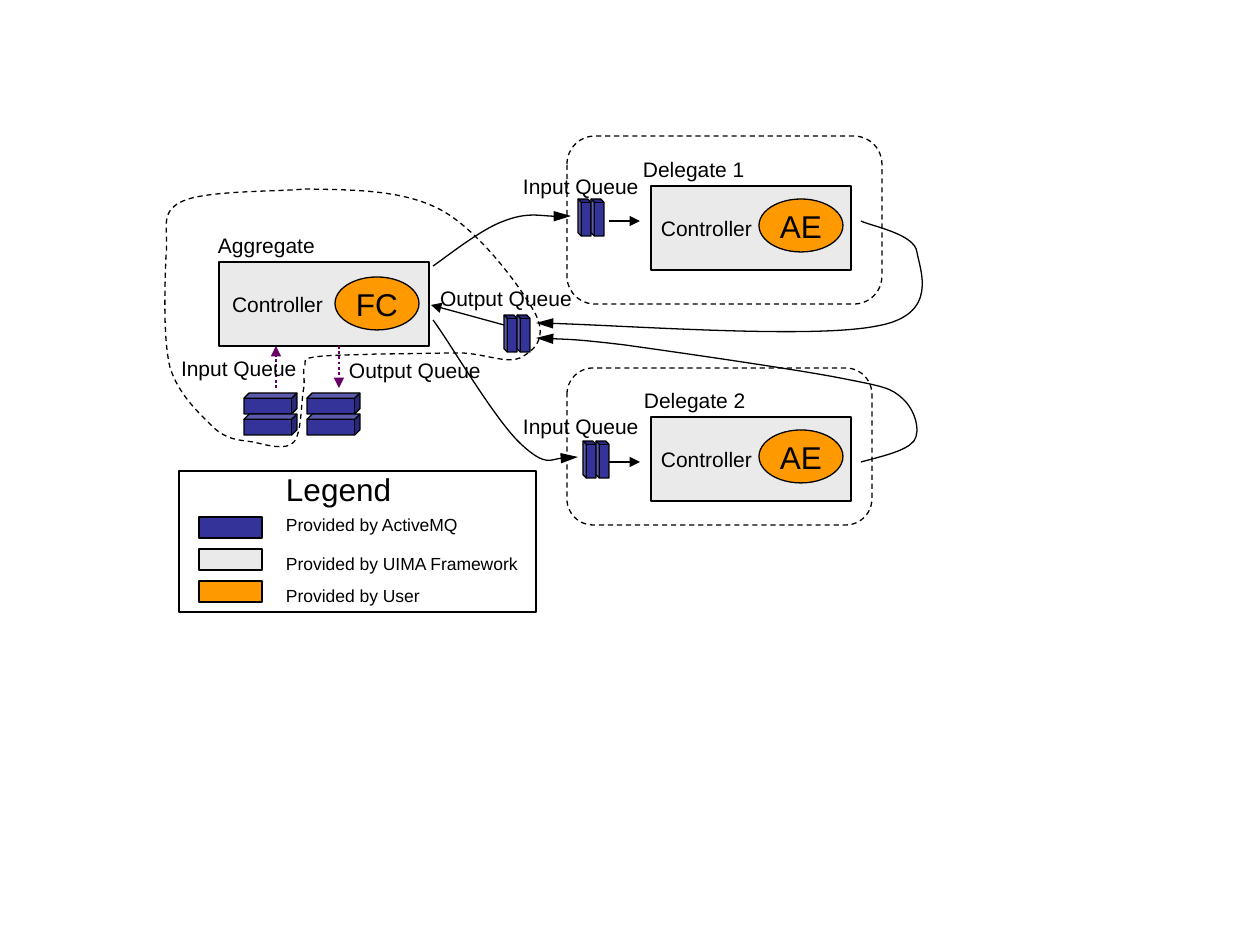
from lxml import etree
from pptx import Presentation
from pptx.dml.color import RGBColor
from pptx.enum.dml import MSO_LINE_DASH_STYLE as Dash
from pptx.enum.shapes import MSO_CONNECTOR as Connector, MSO_SHAPE as Shape
from pptx.enum.text import MSO_ANCHOR as Anchor, PP_ALIGN as Align
from pptx.oxml.ns import qn
from pptx.util import Pt

SCALE = 914400 / 126
BLACK, WHITE, PURPLE = "000000", "FFFFFF", "660066"
QUEUE_BLUE, FRAMEWORK_GREY, USER_ORANGE = "333399", "EAEAEA", "FF9900"

BOUNDARY = [
    (305, 189), (350, 190), (402, 189), (441, 210), (480, 231), (523, 290),
    (536, 315), (548, 340), (532, 352), (520, 358), (508, 364), (485, 354),
    (462, 353), (438, 353), (403, 354), (379, 354), (355, 355), (328, 355),
    (315, 357), (302, 359), (306, 360), (305, 365), (302, 370), (305, 374),
    (304, 387), (301, 401), (302, 433), (294, 442), (286, 451), (267, 445),
    (253, 442), (239, 440), (227, 440), (213, 427), (199, 413), (178, 394),
    (170, 367), (163, 338), (165, 285), (166, 257), (169, 229), (159, 213),
    (181, 202), (204, 190), (278, 192), (305, 189),
]
DELEGATE_REGIONS = [(567, 368, 305, 157), (567, 136, 315, 168)]
ENGINES = [
    ((219, 262, 210, 84), 13, "FC", (335, 277)),
    ((651, 186, 200, 84), 10, "AE", (759, 199)),
    ((651, 417, 200, 84), 10, "AE", (759, 430)),
]
FLAT_QUEUES = [(244, 393), (307, 393)]
UPRIGHT_QUEUES = [(578, 199), (504, 315), (583, 441)]
LABELS = [
    ("Input Queue", 168, 350, 147),
    ("Output Queue", 336, 352, 168),
    ("Input Queue", 510, 168, 147),
    ("Input Queue", 510, 408, 147),
    ("Output Queue", 427, 280, 168),
    ("Aggregate", 205, 227, 136),
    ("Delegate 1", 630, 151, 136),
    ("Delegate 2", 631, 382, 136),
]
LEGEND = [
    ("Provided by ActiveMQ", QUEUE_BLUE, 508),
    ("Provided by UIMA Framework", FRAMEWORK_GREY, 547),
    ("Provided by User", USER_ORANGE, 579),
]
FLOWS = [
    [(861, 221), (871, 226), (915, 234), (917, 252), (920, 270), (940, 315),
     (877, 326), (813, 339), (606, 324), (536, 323)],
    [(861, 462), (883, 456), (906, 451), (914, 441), (921, 431), (915, 410),
     (903, 399), (891, 388), (886, 387), (840, 378), (794, 369), (675, 352),
     (625, 345), (575, 339), (554, 339), (536, 338)],
    [(433, 320), (449, 341), (496, 422), (522, 445), (546, 467), (567, 455), (578, 457)],
    [(433, 266), (445, 258), (481, 229), (504, 221), (527, 212), (557, 218), (571, 216)],
]
DOTTED_ARROWS = [((276, 388), (276, 346)), ((339, 346), (339, 388))]
SOLID_ARROWS = [((609, 221), (640, 221)), ((609, 462), (640, 462)), ((504, 325), (431, 305))]


def px(*values):
    return [round(value * SCALE) for value in values]


def color(value):
    return RGBColor.from_string(value)


def set_line(shape, line_color=BLACK, width=0.75, dash=None, arrow_length=None):
    shape.line.color.rgb = color(line_color)
    shape.line.width = Pt(width)
    if dash:
        shape.line.dash_style = dash
    if arrow_length:
        line = shape._element.spPr.find(qn("a:ln"))
        etree.SubElement(line, qn("a:tailEnd"), type="triangle", w="med", len=arrow_length)


def write(shape, text, size, align=Align.LEFT, anchor=Anchor.TOP, left=13, wrap=True):
    frame = shape.text_frame
    margins = dict(zip(
        ("margin_left", "margin_right", "margin_top", "margin_bottom"),
        px(left, 13, 6, 6),
    ))
    for name, value in {**margins, "word_wrap": wrap, "vertical_anchor": anchor}.items():
        setattr(frame, name, value)
    paragraph = frame.paragraphs[0]
    paragraph.text = text
    paragraph.alignment = align
    for name, value in {"size": Pt(size), "name": "Arial"}.items():
        setattr(paragraph.font, name, value)
    paragraph.font.color.rgb = color(BLACK)


def add_shape(slide, kind, box, fill=None, dash=None):
    shape = slide.shapes.add_shape(kind, *px(*box))
    shape.shadow.inherit = False
    if fill:
        shape.fill.solid()
        shape.fill.fore_color.rgb = color(fill)
    else:
        shape.fill.background()
    set_line(shape, dash=dash)
    return shape


def add_label(slide, text, box, size):
    write(slide.shapes.add_textbox(*px(*box)), text, size)


def add_curve(slide, points, closed=False, **line_format):
    builder = slide.shapes.build_freeform(*points[0], scale=SCALE)
    builder.add_line_segments(points[1:], close=closed)
    shape = builder.convert_to_shape()
    segments = list(shape._element.iter(qn("a:lnTo")))
    for start in range(0, len(segments), 3):
        curve = etree.Element(qn("a:cubicBezTo"))
        segments[start].addprevious(curve)
        for segment in segments[start:start + 3]:
            curve.append(segment[0])
            segment.getparent().remove(segment)
    shape.shadow.inherit = False
    shape.fill.background()
    set_line(shape, **line_format)


def add_arrow(slide, start, end, **line_format):
    connector = slide.shapes.add_connector(Connector.STRAIGHT, *px(*start, *end))
    set_line(connector, arrow_length="med", **line_format)
    etree.SubElement(connector._element.spPr, qn("a:effectLst"))


def add_queue(slide, left, top, upright):
    for index in range(2):
        if upright:
            box = (left - 12 + 13 * index, top + 12, 37, 13)
        else:
            box = (left, top + 21 * index, 53, 21)
        cube = add_shape(slide, Shape.CUBE, box, QUEUE_BLUE)
        cube.rotation = 270 if upright else 0


def add_engine(slide, box, inset, name, oval_position):
    controller = add_shape(slide, Shape.RECTANGLE, box, FRAMEWORK_GREY)
    write(controller, "Controller", 12, anchor=Anchor.MIDDLE, left=inset)
    oval = add_shape(slide, Shape.OVAL, (*oval_position, 84, 53), USER_ORANGE)
    write(oval, name, 18, Align.CENTER, Anchor.MIDDLE, wrap=False)


def add_legend(slide):
    add_shape(slide, Shape.RECTANGLE, (179, 471, 357, 141), WHITE)
    add_label(slide, "Legend", (273, 464, 160, 50), 18)
    for index, (text, fill, top) in enumerate(LEGEND):
        add_shape(slide, Shape.RECTANGLE, (199, 517 + 32 * index, 63, 21), fill)
        add_label(slide, text, (273, top, 273, 34), 10)


def main():
    presentation = Presentation()
    presentation.slide_width, presentation.slide_height = px(1260, 945)
    slide = presentation.slides.add_slide(presentation.slide_layouts[6])
    add_curve(slide, BOUNDARY, closed=True, dash=Dash.DASH)
    for box in DELEGATE_REGIONS:
        add_shape(slide, Shape.ROUNDED_RECTANGLE, box, dash=Dash.DASH)
    for engine in ENGINES:
        add_engine(slide, *engine)
    for queues, upright in ((FLAT_QUEUES, False), (UPRIGHT_QUEUES, True)):
        for left, top in queues:
            add_queue(slide, left, top, upright)
    add_legend(slide)
    for start, end in DOTTED_ARROWS:
        add_arrow(slide, start, end, line_color=PURPLE, width=1.5, dash=Dash.ROUND_DOT)
    for text, left, top, width in LABELS:
        add_label(slide, text, (left, top, width, 38), 12)
    for points in FLOWS:
        add_curve(slide, points, arrow_length="lg")
    for start, end in SOLID_ARROWS:
        add_arrow(slide, start, end)
    presentation.save("out.pptx")


if __name__ == "__main__":
    main()
